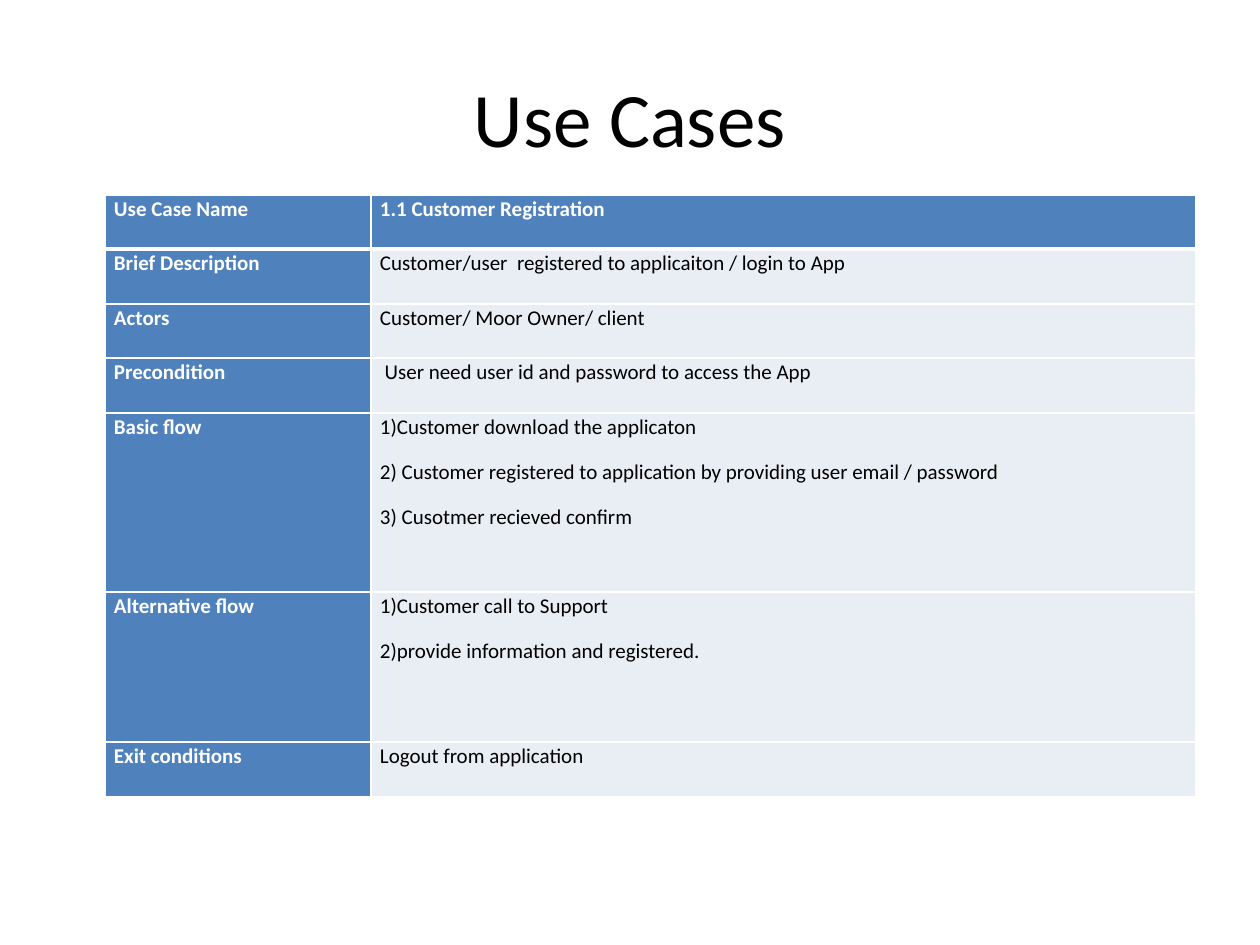
from lxml import etree
from pptx import Presentation
from pptx.dml.color import RGBColor
from pptx.enum import text
from pptx.oxml import ns
from pptx.util import Emu, Pt

TITLE = "Use Cases"
ROWS = [
    (54, "Use Case Name", ["1.1 Customer Registration"]),
    (55, "Brief Description", ["Customer/user  registered to applicaiton / login to App"]),
    (54, "Actors", ["Customer/ Moor Owner/ client"]),
    (55, "Precondition", [" User need user id and password to access the App"]),
    (179, "Basic flow", [
        "1)Customer download the applicaton",
        "2) Customer registered to application by providing user email / password",
        "3) Cusotmer recieved confirm",
    ]),
    (150, "Alternative flow", [
        "1)Customer call to Support",
        "2)provide information and registered.",
    ]),
    (55, "Exit conditions", ["Logout from application"]),
]
COLS = [266, 825]
LEFT, TOP = 105, 195
BLUE, PALE, WHITE, BLACK = "4F81BD", "E9EDF4", "FFFFFF", "000000"


def px(n):
    return Emu(round(n * 914400 / 126))


def rgb(code):
    return RGBColor.from_string(code)


def style(par, size, color, bold, align):
    par.alignment = align
    for run in par.runs:
        font = run.font
        font.name, font.size, font.bold = "Calibri", Pt(size), bold
        font.color.rgb = rgb(color)


def border(cell, side, width):
    props = cell._tc.get_or_add_tcPr()
    line = etree.SubElement(props, ns.qn("a:ln" + side), w=str(Pt(width)))
    fill = etree.SubElement(line, ns.qn("a:solidFill"))
    etree.SubElement(fill, ns.qn("a:srgbClr"), val=WHITE)


def fill_cell(cell, lines, head, row):
    for side in "LRTB":
        thick = (row == 0 and side == "B") or (row == 1 and side == "T")
        border(cell, side, 3 if thick else 1)
    cell.fill.solid()
    cell.fill.fore_color.rgb = rgb(BLUE if head else PALE)
    cell.margin_left = cell.margin_right = px(9)
    cell.margin_top = cell.margin_bottom = 0
    cell.text_frame.text = "\n".join(lines)
    for par in cell.text_frame.paragraphs:
        par.line_spacing, par.space_after = 1.07, Pt(10)
        style(par, 12, WHITE if head else BLACK, head, text.PP_ALIGN.JUSTIFY)


def main():
    deck = Presentation()
    deck.slide_width, deck.slide_height = px(1260), px(945)
    slide = deck.slides.add_slide(deck.slide_layouts[6])

    frame = slide.shapes.add_textbox(px(63), px(38), px(1134), px(157)).text_frame
    frame.word_wrap = True
    frame.vertical_anchor = text.MSO_ANCHOR.MIDDLE
    frame.text = TITLE
    style(frame.paragraphs[0], 44, BLACK, False, text.PP_ALIGN.CENTER)

    high = sum(row[0] for row in ROWS)
    table = slide.shapes.add_table(
        len(ROWS), len(COLS), px(LEFT), px(TOP), px(sum(COLS)), px(high)
    ).table
    for col, width in zip(table.columns, COLS):
        col.width = px(width)
    for i, (height, label, lines) in enumerate(ROWS):
        table.rows[i].height = px(height)
        fill_cell(table.cell(i, 0), [label], True, i)
        fill_cell(table.cell(i, 1), lines, i == 0, i)

    deck.save("out.pptx")


if __name__ == "__main__":
    main()
